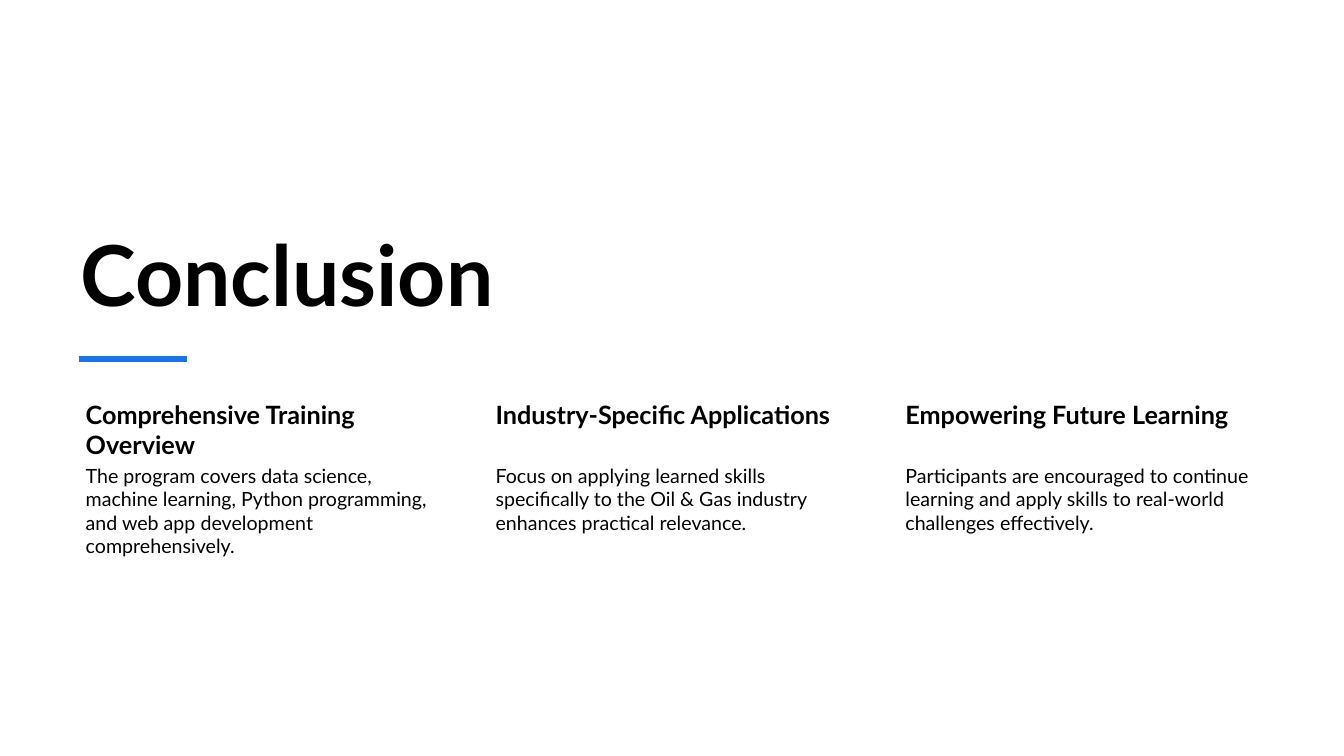
"""Build the conclusion slide with three takeaway columns."""
from lxml import etree
from pptx import Presentation
from pptx.dml.color import RGBColor
from pptx.enum.shapes import MSO_CONNECTOR
from pptx.enum.text import MSO_ANCHOR, MSO_AUTO_SIZE, PP_ALIGN
from pptx.oxml.ns import qn
from pptx.util import Inches, Pt

STRAIGHT = MSO_CONNECTOR.STRAIGHT
TOP, BOTTOM = MSO_ANCHOR.TOP, MSO_ANCHOR.BOTTOM
NO_FIT = MSO_AUTO_SIZE.NONE
LEFT = PP_ALIGN.LEFT

COLORS = {"text": "000000", "accent": "1973EB"}
FONT = "Lato"
MARGIN, COLUMN_STEP, COLUMN_WIDTH = 0.7, 4.065, 3.69
HEADING_TOP, HEADING_HEIGHT, BODY_HEIGHT = 3.93, 0.65, 2.07
TAKEAWAYS = [
    ("Comprehensive Training Overview",
     "The program covers data science, machine learning, Python programming, "
     "and web app development comprehensively."),
    ("Industry-Specific Applications",
     "Focus on applying learned skills specifically to the Oil & Gas industry "
     "enhances practical relevance."),
    ("Empowering Future Learning",
     "Participants are encouraged to continue learning and apply skills to "
     "real-world challenges effectively."),
]


def write(tf, text, size, bold=False, anchor=TOP, insets=(0.1, 0.05, 0.1, 0.05)):
    """Fill a text frame with one formatted paragraph."""
    tf.word_wrap = True
    tf.auto_size = NO_FIT
    tf.vertical_anchor = anchor
    tf.margin_left, tf.margin_top, tf.margin_right, tf.margin_bottom = map(Inches, insets)
    p = tf.paragraphs[0]
    p.alignment = LEFT
    p.line_spacing = 1.0
    r = p.add_run()
    r.text = text
    r.font.name = FONT
    r.font.size = Pt(size)
    r.font.bold = bold
    r.font.color.rgb = RGBColor.from_string(COLORS["text"])


class Deck:
    """Hold the presentation and its current slide."""

    def __init__(self):
        """Create a widescreen presentation with one title-only slide."""
        self.prs = Presentation()
        self.prs.slide_width, self.prs.slide_height = Inches(13.33), Inches(7.5)
        self.s = self.prs.slides.add_slide(self.prs.slide_layouts[5])

    def title(self, text, x, y, w, h):
        """Place and format the title placeholder."""
        sp = self.s.shapes.title
        sp.left, sp.top, sp.width, sp.height = map(Inches, (x, y, w, h))
        write(sp.text_frame, text, 60, bold=True, anchor=BOTTOM)

    def text(self, text, x, y, w, h, **style):
        """Add a text box."""
        sp = self.s.shapes.add_textbox(*map(Inches, (x, y, w, h)))
        write(sp.text_frame, text, **style)

    def line(self, x1, y1, x2, y2, color, width):
        """Add a straight line without a shadow."""
        sp = self.s.shapes.add_connector(STRAIGHT, *map(Inches, (x1, y1, x2, y2)))
        sp.line.color.rgb = RGBColor.from_string(COLORS[color])
        sp.line.width = Pt(width)
        etree.SubElement(sp._element.spPr, qn("a:effectLst"))


def main():
    """Build and save the slide."""
    deck = Deck()
    deck.title("Conclusion", MARGIN, 1.72, 8.93, 1.54)
    for i, (heading, body) in enumerate(TAKEAWAYS):
        x = MARGIN + i * COLUMN_STEP
        deck.text(heading, x, HEADING_TOP, COLUMN_WIDTH, HEADING_HEIGHT,
                  size=18, bold=True, insets=(0.15, 0.03, 0.03, 0.03))
        deck.text(body, x, HEADING_TOP + HEADING_HEIGHT, COLUMN_WIDTH, BODY_HEIGHT,
                  size=14, insets=(0.15, 0.02, 0.02, 0.02))
    deck.line(0.78, 3.56, 1.85, 3.56, "accent", 4.5)
    deck.prs.save("out.pptx")


if __name__ == "__main__":
    main()
